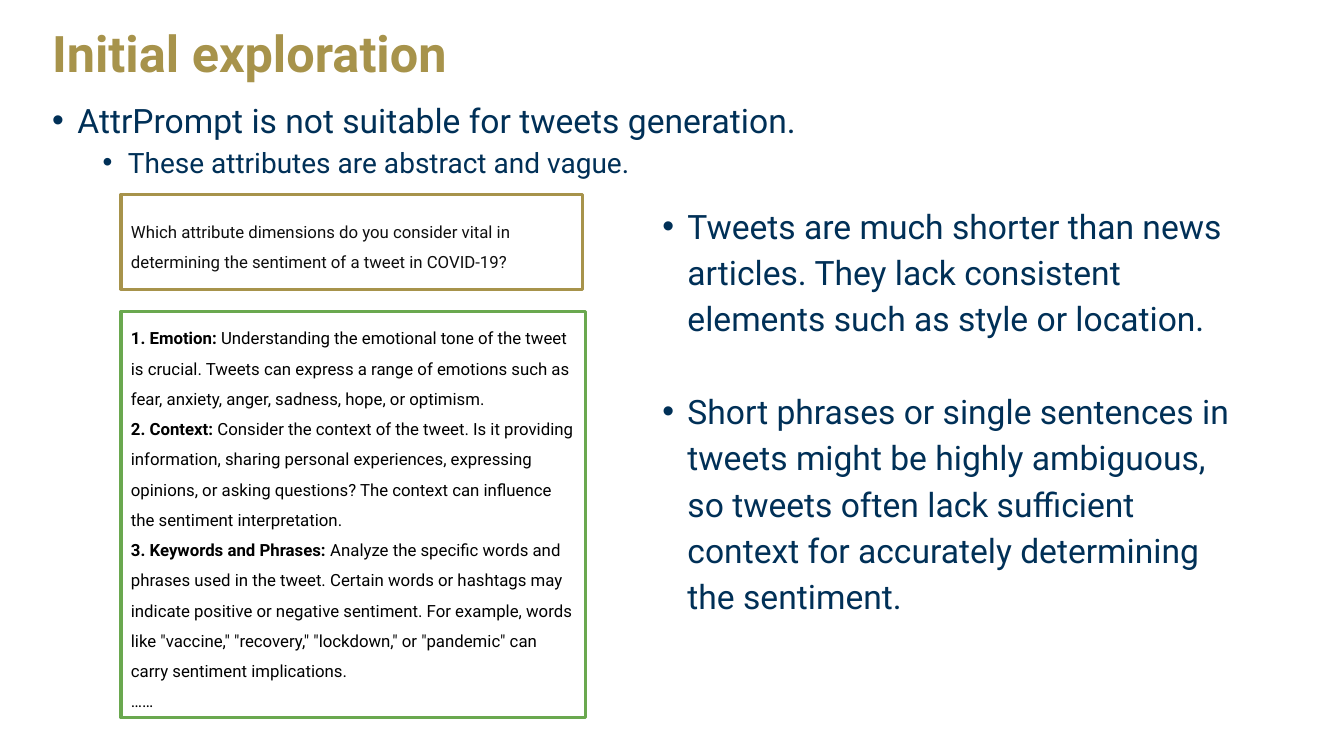
import pptx
import pptx.dml.color
import pptx.enum.shapes
import pptx.enum.text
import pptx.oxml.ns
import pptx.util
from lxml import etree

PX = 9144  # 100 px to the inch
NAVY = pptx.dml.color.RGBColor(0x00, 0x30, 0x57)
GOLD = pptx.dml.color.RGBColor(0xA7, 0x93, 0x4B)
GREEN = pptx.dml.color.RGBColor(0x6A, 0xA8, 0x4F)
CHARCOAL = pptx.dml.color.RGBColor(0x0F, 0x0F, 0x0F)
BLACK = pptx.dml.color.RGBColor(0x00, 0x00, 0x00)
MIDDLE = pptx.enum.text.MSO_ANCHOR.MIDDLE
TOP = pptx.enum.text.MSO_ANCHOR.TOP


def write_paragraphs(shape, paragraphs, color, line_spacing, anchor, inset):
    """Fill a shape; each paragraph is (runs, size, format), each run (text, bold)."""
    frame = shape.text_frame
    frame_format = {
        "word_wrap": True, "vertical_anchor": anchor,
        "margin_left": 10 * PX, "margin_right": 10 * PX,
        "margin_top": inset * PX, "margin_bottom": inset * PX,
    }
    for name, value in frame_format.items():
        setattr(frame, name, value)
    for index, (runs, size, paragraph_format) in enumerate(paragraphs):
        paragraph = frame.add_paragraph() if index else frame.paragraphs[0]
        if "indent" in paragraph_format:
            add_bullet(paragraph, paragraph_format["indent"])
        paragraph.alignment = pptx.enum.text.PP_ALIGN.LEFT
        paragraph.line_spacing = line_spacing
        paragraph.space_before = pptx.util.Pt(paragraph_format.get("space_before", 0))
        for text, bold in runs:
            run = paragraph.add_run()
            run.text = text
            run_format = {"name": "Roboto", "size": pptx.util.Pt(size), "bold": bold}
            for name, value in run_format.items():
                setattr(run.font, name, value)
            run.font.color.rgb = color


def add_bullet(paragraph, indent):
    """Hang a navy bullet 25 px left of the text indent."""
    properties = paragraph._p.get_or_add_pPr()
    properties.set("marL", str(indent * PX))
    properties.set("indent", str(-25 * PX))
    qn = pptx.oxml.ns.qn
    bullet_color = etree.SubElement(properties, qn("a:buClr"))
    etree.SubElement(bullet_color, qn("a:srgbClr"), val=str(NAVY))
    etree.SubElement(properties, qn("a:buFont"), typeface="Arial")
    etree.SubElement(properties, qn("a:buChar"), char="•")


presentation = pptx.Presentation()
presentation.slide_width = 1333 * PX
presentation.slide_height = 750 * PX
slide = presentation.slides.add_slide(presentation.slide_layouts[6])

# Title and bulleted text: position, paragraphs, colour, line spacing, anchor
text_boxes = [
    ((42, 0, 1250, 111),
     [([("Initial exploration", True)], 36, {})],
     GOLD, 0.9, MIDDLE),
    ((42, 88, 897, 111),
     [([("AttrPrompt is not suitable for tweets generation.", False)], 24, {"indent": 25}),
      ([("These attributes are abstract and vague.", False)], 20, {"indent": 75})],
     NAVY, 1.15, TOP),
    ((647, 193, 592, 511),
     [([("Tweets are much shorter than news articles. They lack consistent "
         "elements such as style or location.", False)], 24, {"indent": 25}),
      ([("Short phrases or single sentences in tweets might be highly ambiguous, "
         "so tweets often lack sufficient context for accurately determining "
         "the sentiment.", False)], 24, {"indent": 25, "space_before": 33})],
     NAVY, 1.15, TOP),
]
for position, paragraphs, color, line_spacing, anchor in text_boxes:
    text_box = slide.shapes.add_textbox(*(length * PX for length in position))
    write_paragraphs(text_box, paragraphs, color, line_spacing, anchor, 5)

# Question and answer frames
question = [([("Which attribute dimensions do you consider vital in determining "
               "the sentiment of a tweet in COVID-19?", False)], 12, {})]
attributes = [
    ("1. Emotion:",
     " Understanding the emotional tone of the tweet is crucial. Tweets can express "
     "a range of emotions such as fear, anxiety, anger, sadness, hope, or optimism."),
    ("2. Context:",
     " Consider the context of the tweet. Is it providing information, sharing "
     "personal experiences, expressing opinions, or asking questions? The context "
     "can influence the sentiment interpretation."),
    ("3. Keywords and Phrases:",
     " Analyze the specific words and phrases used in the tweet. Certain words or "
     "hashtags may indicate positive or negative sentiment. For example, words like "
     '"vaccine," "recovery," "lockdown," or "pandemic" can carry sentiment '
     "implications."),
]
answer = [([(heading, True), (detail, False)], 12, {}) for heading, detail in attributes]
answer.append(([("……", False)], 12, {}))

frames = [
    ((120, 193, 458, 94), GOLD, question, CHARCOAL),
    ((120, 309, 461, 403), GREEN, answer, BLACK),
]
for position, line_color, paragraphs, color in frames:
    rectangle = slide.shapes.add_shape(
        pptx.enum.shapes.MSO_SHAPE.RECTANGLE, *(length * PX for length in position))
    rectangle.shadow.inherit = False
    rectangle.fill.background()
    rectangle.line.color.rgb = line_color
    rectangle.line.width = pptx.util.Pt(2.25)
    write_paragraphs(rectangle, paragraphs, color, 1.5, MIDDLE, 10)

presentation.save("out.pptx")
